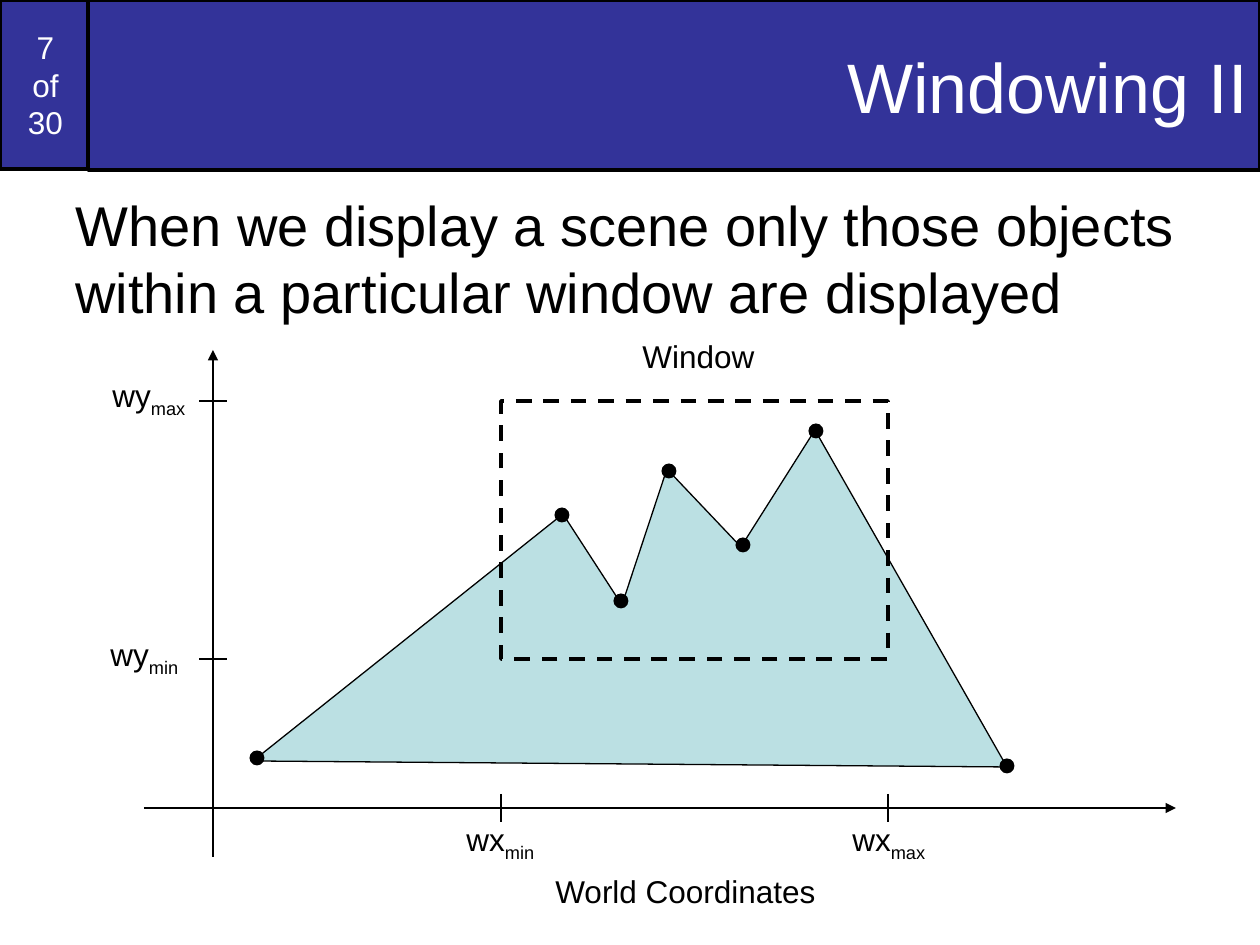
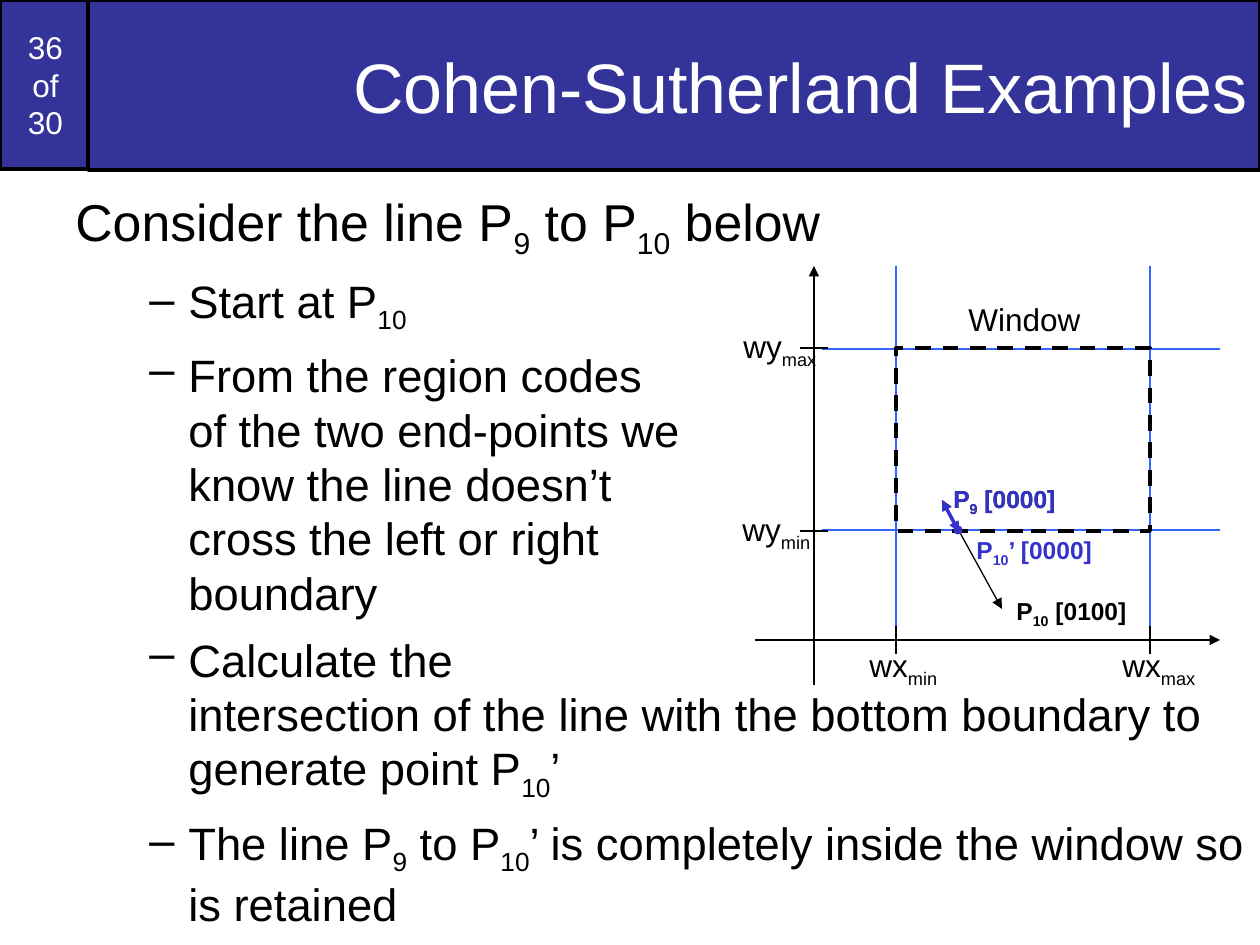
from lxml import etree
from pptx import Presentation
from pptx import util as u
from pptx.dml.color import RGBColor
from pptx.enum import dml, shapes, text
from pptx.oxml import ns

EMU_PER_PX = 914400 / 126
FONT = "Arial"
COLORS = {
    "band": "333399",
    "white": "FFFFFF",
    "black": "000000",
    "scene": "BBE0E3",
    "guide": "3366FF",
    "clipped": "3333CC",
}


def px(length):
    return u.Emu(round(length * EMU_PER_PX))


def rgb(name):
    return RGBColor.from_string(COLORS[name])


def add_xml(parent, tag, **attributes):
    return etree.SubElement(parent, ns.qn(tag), attributes)


class SlideBuilder:
    def __init__(self, deck):
        self.deck = deck
        self.page = None

    def start_page(self, title, number):
        self.page = self.deck.slides.add_slide(self.deck.slide_layouts[6])
        self.band((0, 0, 91, 169), f"{number}\nof\n30", 18, text.PP_ALIGN.CENTER)
        self.band((88, 0, 1172, 170), title, 40, text.PP_ALIGN.RIGHT)

    def style(self, shape, fill=None, line=None, width=0.75):
        shape.shadow.inherit = False
        if fill:
            shape.fill.solid()
            shape.fill.fore_color.rgb = rgb(fill)
        else:
            shape.fill.background()
        if line:
            shape.line.color.rgb = rgb(line)
            shape.line.width = u.Pt(width)
        else:
            shape.line.fill.background()

    def shape(self, kind, at, **look):
        shape = self.page.shapes.add_shape(kind, *map(px, at))
        self.style(shape, **look)
        return shape

    def band(self, at, words, size, align):
        box = self.shape(shapes.MSO_SHAPE.RECTANGLE, at, fill="band", line="black", width=2)
        box.text_frame.word_wrap = True
        box.text_frame.vertical_anchor = text.MSO_ANCHOR.MIDDLE
        para = box.text_frame.paragraphs[0]
        para.alignment = align
        self.fill_para(para, words, size, "white")

    def fill_para(self, para, words, size, color="black", bold=False):
        """Fill a paragraph; parts between underscores become subscripts."""
        para.font.name = FONT
        para.font.size = u.Pt(size)
        para.font.bold = bold
        para.font.color.rgb = rgb(color)
        for index, part in enumerate(words.split("_")):
            for row, line in enumerate(part.split("\n")):
                if row:
                    para.add_line_break()
                if not line:
                    continue
                span = para.add_run()
                span.text = line
                if index % 2:
                    span._r.get_or_add_rPr().set("baseline", "-25000")

    def label(self, at, words, size=18, **look):
        box = self.page.shapes.add_textbox(*map(px, at))
        box.text_frame.word_wrap = False
        box.text_frame.auto_size = text.MSO_AUTO_SIZE.SHAPE_TO_FIT_TEXT
        self.fill_para(box.text_frame.paragraphs[0], words, size, **look)

    def body(self, at, lead, size, bullets=(), bullet_size=None):
        frame = self.page.shapes.add_textbox(*map(px, at)).text_frame
        frame.word_wrap = True
        self.fill_para(frame.paragraphs[0], lead, size)
        for words in bullets:
            para = frame.add_paragraph()
            properties = para._p.get_or_add_pPr()
            properties.set("marL", str(px(113)))
            properties.set("indent", str(px(-39)))
            add_xml(add_xml(properties, "a:buClr"), "a:srgbClr", val=COLORS["black"])
            add_xml(properties, "a:buChar", char="–")
            para.space_before = u.Pt(7)
            self.fill_para(para, words, bullet_size)

    def line(self, start, end, color="black", width=0.75, arrows=()):
        """Draw a line; arrows names its ends: headEnd at start, tailEnd at end."""
        line = self.page.shapes.add_connector(
            shapes.MSO_CONNECTOR.STRAIGHT, *map(px, (*start, *end)))
        line.line.color.rgb = rgb(color)
        line.line.width = u.Pt(width)
        for arrow in arrows:
            add_xml(line.line._get_or_add_ln(), f"a:{arrow}", type="triangle")
        add_xml(line._element.spPr, "a:effectLst")

    def dot(self, center, size, color="black"):
        x, y = center
        self.shape(shapes.MSO_SHAPE.OVAL,
                   (x - size / 2, y - size / 2, size, size), fill=color)

    def polygon(self, points, **look):
        builder = self.page.shapes.build_freeform(*points[0], scale=EMU_PER_PX)
        builder.add_line_segments(points[1:], close=True)
        self.style(builder.convert_to_shape(), **look)

    def window_plot(self, x_axis, y_axis, window, limit_corners, caption_corner):
        """Draw axes, the dashed window, ticks at its limits and the labels.

        x_axis is (left, right, y); y_axis is (bottom, top, x).
        """
        left, right, axis_y = x_axis
        bottom, top, axis_x = y_axis
        self.line((left, axis_y), (right, axis_y), arrows=["tailEnd"])
        self.line((axis_x, bottom), (axis_x, top), arrows=["tailEnd"])
        frame = self.shape(shapes.MSO_SHAPE.RECTANGLE, window, line="black", width=2.25)
        frame.line.dash_style = dml.MSO_LINE.DASH
        x, y, width, height = window
        tick = 14
        for tick_y in (y, y + height):
            self.line((axis_x + tick, tick_y), (axis_x - tick, tick_y))
        for tick_x in (x, x + width):
            self.line((tick_x, axis_y - tick), (tick_x, axis_y + tick))
        limits = ("wy_max_", "wy_min_", "wx_min_", "wx_max_")
        for corner, limit in zip(limit_corners, limits):
            self.label((*corner, 98 if "max" in limit else 93, 55), limit)
        self.label((*caption_corner, 137, 50), "Window")


def windowing(builder):
    builder.start_page("Windowing II", 7)
    builder.body((63, 184, 1134, 180), "When we display a scene only those objects "
                 "within a particular window are displayed", 32)
    builder.polygon([(253, 761), (563, 514), (622, 605), (667, 469),
                     (741, 547), (815, 430), (1007, 767)], fill="scene", line="black")
    builder.window_plot(
        x_axis=(144, 1176, 808), y_axis=(857, 350, 213), window=(501, 401, 387, 258),
        limit_corners=[(100, 370), (98, 629), (454, 814), (840, 814)],
        caption_corner=(630, 331))
    for vertex in [(562, 515), (257, 758), (621, 601), (669, 471),
                   (743, 545), (816, 431), (1007, 766)]:
        builder.dot(vertex, 15)
    builder.label((543, 866, 286, 50), "World Coordinates")


def cohen_sutherland(builder):
    builder.start_page("Cohen-Sutherland Examples", 36)
    builder.body((63, 184, 1197, 761), "Consider the line P_9_ to P_10_ below", 29.6, [
        "Start at P_10_",
        "From the region codes\nof the two end-points we\nknow the line doesn’t\n"
        "cross the left or right\nboundary",
        "Calculate the\nintersection of the line with the bottom boundary to "
        "generate point P_10_’",
        "The line P_9_ to P_10_’ is completely inside the window so is retained",
    ], 25.9)
    for x in (896, 1150):
        builder.line((x, 266), (x, 632), "guide")
    for y in (349, 530):
        builder.line((1220, y), (822, y), "guide")
    builder.window_plot(
        x_axis=(755, 1220, 640), y_axis=(685, 266, 814), window=(896, 348, 254, 183),
        limit_corners=[(731, 321), (730, 504), (857, 640), (1110, 640)],
        caption_corner=(956, 294))
    both_ends = ["headEnd", "tailEnd"]
    p9 = (942, 500)
    builder.line(p9, (1002, 609), arrows=both_ends)
    builder.label((1004, 590, 135, 47), "P_10_ [0100]", 14, bold=True)
    p9_label = (941, 478, 127, 47)
    builder.label(p9_label, "P_9_ [0000]", 14, bold=True)
    builder.label((964, 529, 142, 47), "P_10_’ [0000]", 14, color="clipped", bold=True)
    builder.dot((958, 530), 9, "clipped")
    builder.line(p9, (959, 532), "clipped", 2, both_ends)
    builder.label(p9_label, "P_9_ [0000]", 14, color="clipped", bold=True)


def main():
    deck = Presentation()
    deck.slide_width, deck.slide_height = px(1260), px(945)
    builder = SlideBuilder(deck)
    windowing(builder)
    cohen_sutherland(builder)
    deck.save("out.pptx")


if __name__ == "__main__":
    main()
